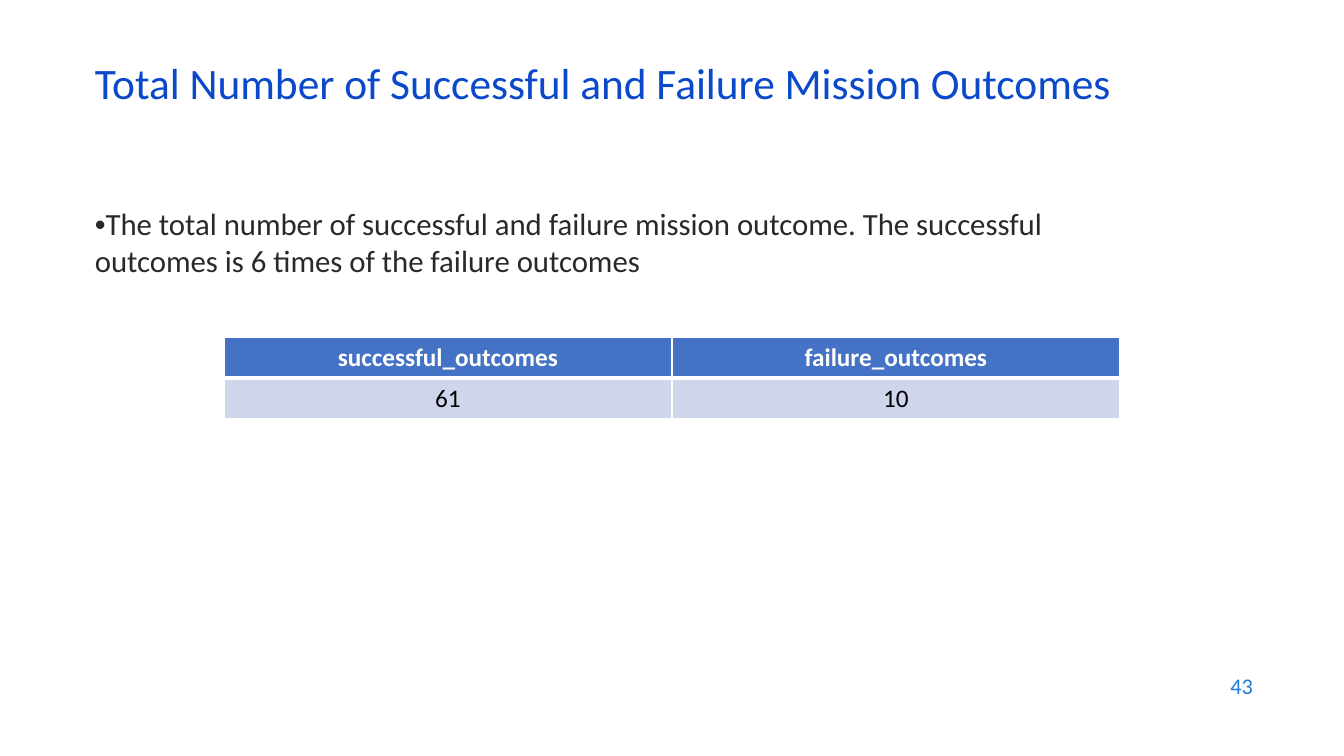
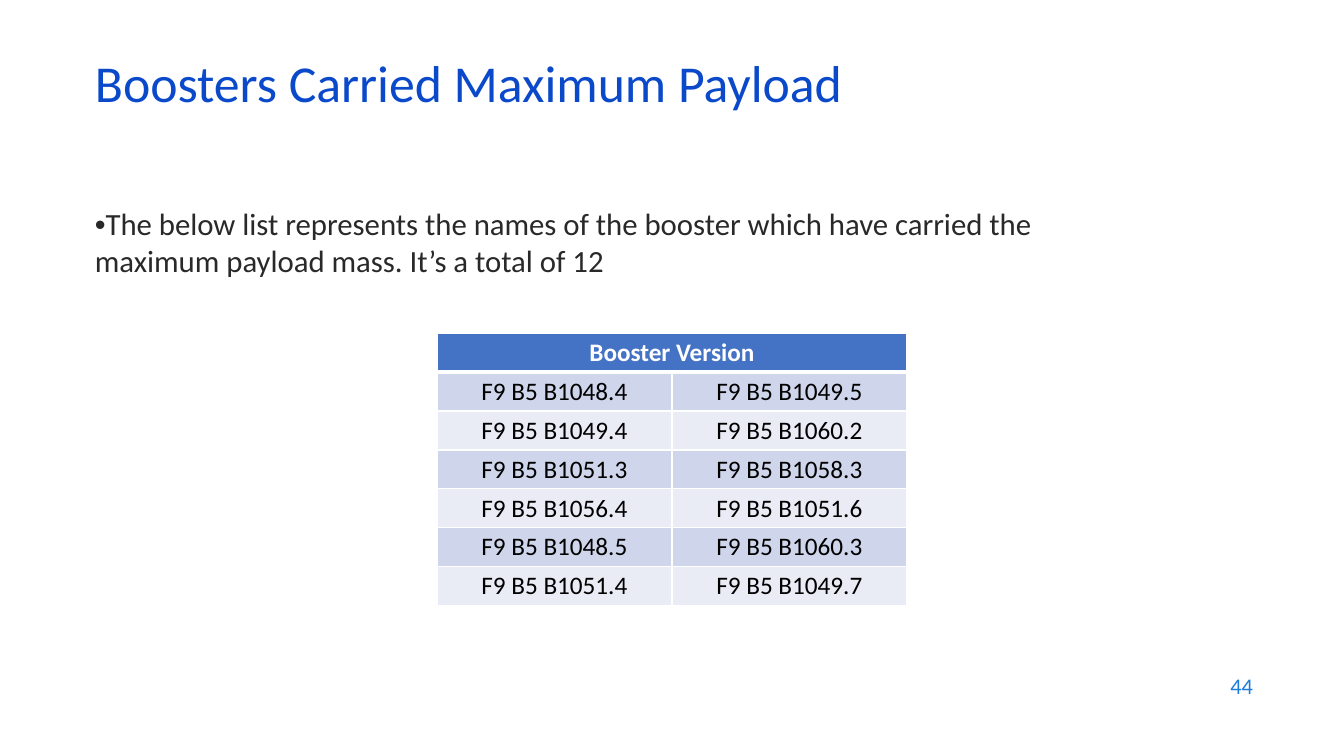
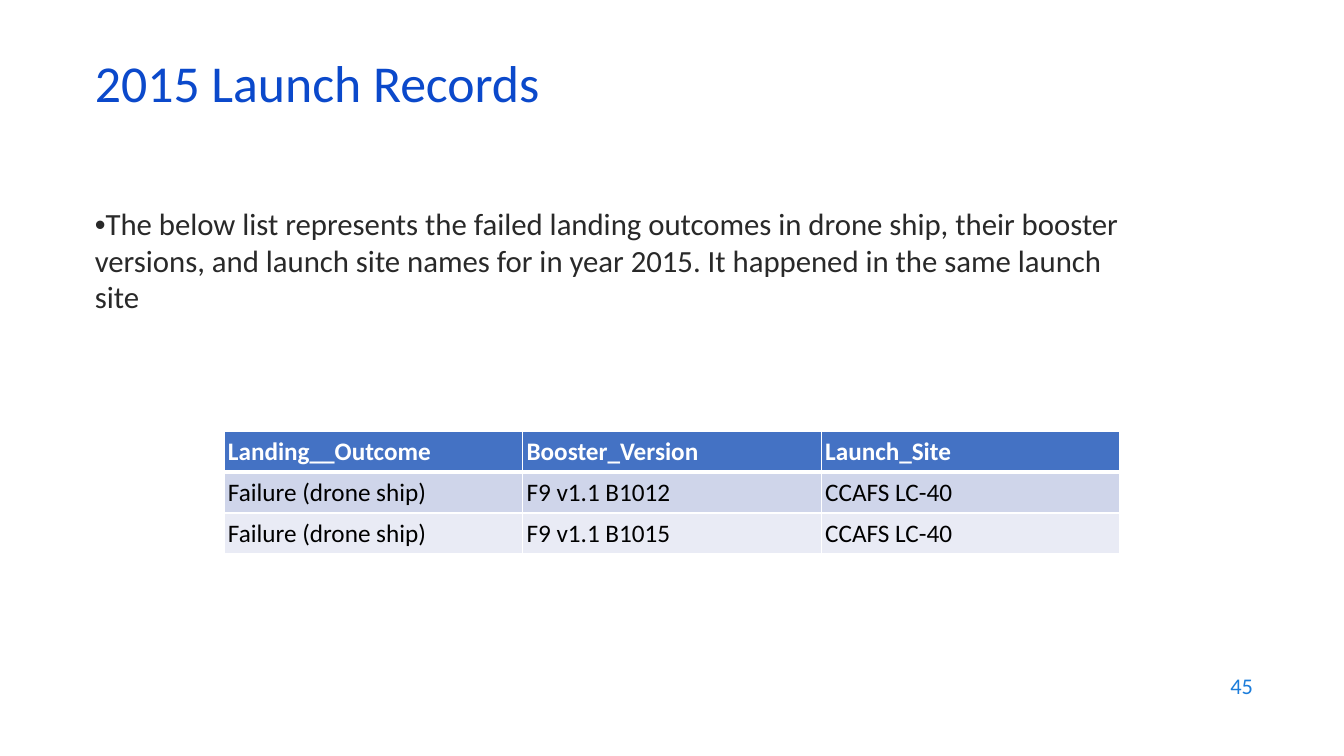
from lxml import etree
from pptx import Presentation
from pptx import util as u
from pptx.dml.color import RGBColor
from pptx.enum import text
from pptx.oxml import ns

PX = u.Inches(1) / 100.8
SLIDE_W, SLIDE_H = 1344, 756
FONT = "Calibri"
TITLE_BLUE = RGBColor(0x0B, 0x49, 0xCB)
NUMBER_BLUE = RGBColor(0x1C, 0x7D, 0xDB)
BODY_GREY = RGBColor(0x29, 0x29, 0x29)
HEADER_BLUE = RGBColor(0x44, 0x72, 0xC4)
BANDS = [RGBColor(0xE9, 0xEB, 0xF5), RGBColor(0xCF, 0xD5, 0xEA)]
WHITE = RGBColor(0xFF, 0xFF, 0xFF)
BLACK = RGBColor(0, 0, 0)
LEFT, CENTER, RIGHT = text.PP_ALIGN.LEFT, text.PP_ALIGN.CENTER, text.PP_ALIGN.RIGHT
TOP, MIDDLE = text.MSO_ANCHOR.TOP, text.MSO_ANCHOR.MIDDLE


def add_text(slide, words, box, size, color, anchor, align=LEFT, spacing=1.0, bullet=False):
    frame = slide.shapes.add_textbox(*[round(v * PX) for v in box]).text_frame
    frame.word_wrap = True
    frame.vertical_anchor = anchor
    frame.text = words
    paragraph = frame.paragraphs[0]
    paragraph.alignment = align
    paragraph.line_spacing = spacing
    if bullet:
        props = paragraph._p.get_or_add_pPr()
        props.set("marL", "0")
        props.set("indent", "0")
        etree.SubElement(props, ns.qn("a:buFont"), typeface="Arial")
        etree.SubElement(props, ns.qn("a:buChar"), char="•")
    style_font(paragraph.runs[0].font, size, color)


def style_font(font, size, color, bold=False):
    font.name = FONT
    font.size = u.Pt(size)
    font.bold = bold
    font.color.rgb = color


pages = [
    (43, "Total Number of Successful and Failure Mission Outcomes", 31,
     "The total number of successful and failure mission outcome. "
     "The successful outcomes is 6 times of the failure outcomes",
     337, 896, 41, CENTER,
     [["successful_outcomes", "failure_outcomes"],
      ["61", "10"]]),
    (44, "Boosters Carried Maximum Payload", 37,
     "The below list represents the names of the booster which have carried "
     "the maximum payload mass. It’s a total of 12",
     333, 470, 39, CENTER,
     [["Booster Version", ""],
      ["F9 B5 B1048.4", "F9 B5 B1049.5"],
      ["F9 B5 B1049.4", "F9 B5 B1060.2"],
      ["F9 B5 B1051.3", "F9 B5 B1058.3"],
      ["F9 B5 B1056.4", "F9 B5 B1051.6"],
      ["F9 B5 B1048.5", "F9 B5 B1060.3"],
      ["F9 B5 B1051.4", "F9 B5 B1049.7"]]),
    (45, "2015 Launch Records", 37,
     "The below list represents the failed landing outcomes in drone ship, "
     "their booster versions, and launch site names for in year 2015. "
     "It happened in the same launch site",
     431, 896, 41, LEFT,
     [["Landing__Outcome", "Booster_Version", "Launch_Site"],
      ["Failure (drone ship)", "F9 v1.1 B1012", "CCAFS LC-40"],
      ["Failure (drone ship)", "F9 v1.1 B1015", "CCAFS LC-40"]]),
]

deck = Presentation()
deck.slide_width = round(SLIDE_W * PX)
deck.slide_height = round(SLIDE_H * PX)

for number, title, title_size, summary, top, width, row_height, align, records in pages:
    slide = deck.slides.add_slide(deck.slide_layouts[6])
    add_text(slide, str(number), (961, 664, 302, 44), 16, NUMBER_BLUE, MIDDLE, RIGHT)
    add_text(slide, summary, (85, 202, 1075, 480), 22, BODY_GREY, TOP, spacing=0.98, bullet=True)
    add_text(slide, title, (85, 59, 1159, 60), title_size, TITLE_BLUE, MIDDLE, spacing=0.7)

    left = (SLIDE_W - width) // 2
    bounds = [round(v * PX) for v in (left, top, width, row_height * len(records))]
    results = slide.shapes.add_table(len(records), len(records[0]), *bounds).table
    for r, record in enumerate(records):
        results.rows[r].height = round(row_height * PX)
        for c, value in enumerate(record):
            cell = results.cell(r, c)
            cell.text = value
            cell.vertical_anchor = MIDDLE
            cell.margin_left = cell.margin_right = round(4 * PX)
            cell.margin_top = cell.margin_bottom = round(4 * PX)
            paragraph = cell.text_frame.paragraphs[0]
            paragraph.alignment = align
            style_font(paragraph.font, 18, BLACK if r else WHITE, r == 0)
            for run in paragraph.runs:
                style_font(run.font, 18, BLACK if r else WHITE, r == 0)
            props = cell._tc.get_or_add_tcPr()
            for side in "LRTB":
                weight = 3 if r == 0 and side == "B" else 1
                edge = etree.SubElement(props, ns.qn("a:ln" + side), w=str(u.Pt(weight)))
                paint = etree.SubElement(edge, ns.qn("a:solidFill"))
                etree.SubElement(paint, ns.qn("a:srgbClr"), val=str(WHITE))
            cell.fill.solid()
            cell.fill.fore_color.rgb = BANDS[r % 2] if r else HEADER_BLUE
    if not records[0][-1]:
        results.cell(0, 0).merge(results.cell(0, len(records[0]) - 1))

deck.save("out.pptx")
